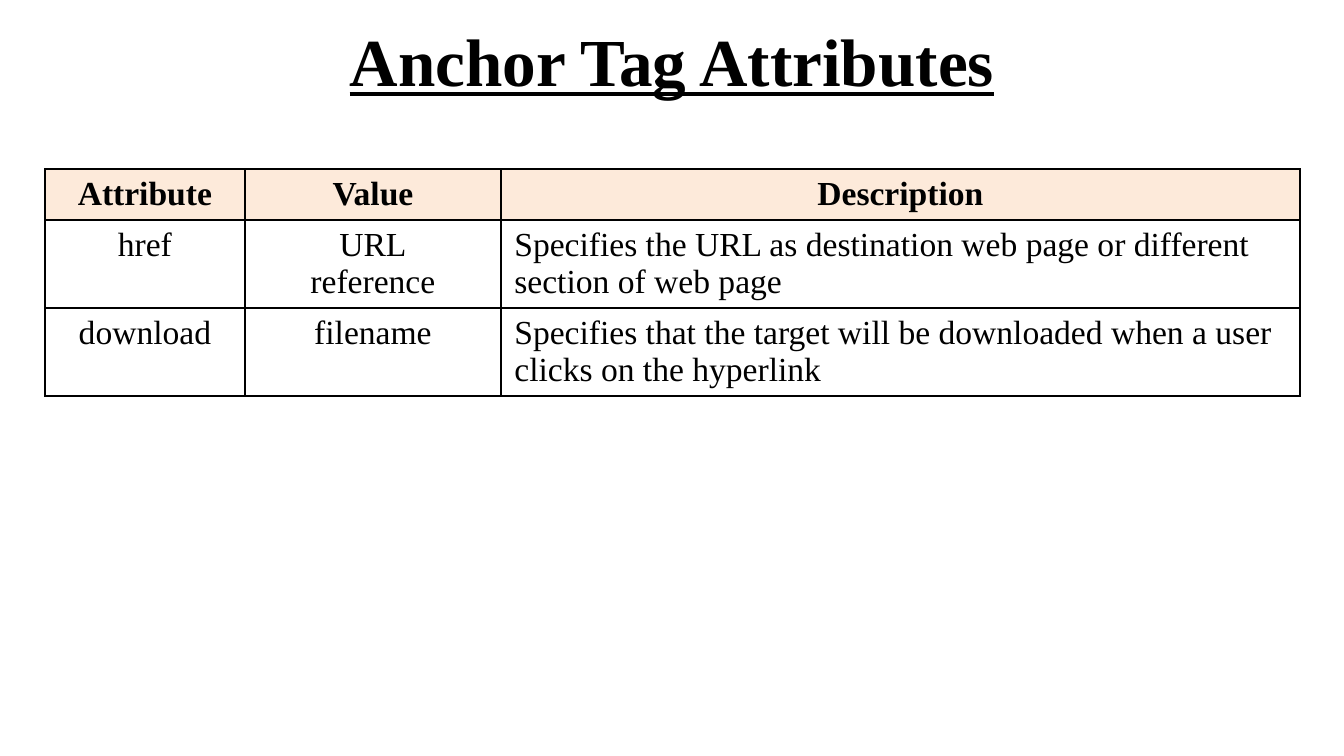
import pptx
import pptx.dml.color
import pptx.enum.text
import pptx.oxml
import pptx.oxml.ns
import pptx.util

PX = 914400 / 134.4
FONT = "Times New Roman"
BLACK, WHITE, PEACH = "000000", "FFFFFF", "FDEADA"
ALIGN = pptx.enum.text.PP_ALIGN
ANCHOR = pptx.enum.text.MSO_ANCHOR

HEADINGS = ["Attribute", "Value", "Description"]
ATTRIBUTES = [
    ["href", "URL\nreference",
     "Specifies the URL as destination web page or different section of web page"],
    ["download", "filename",
     "Specifies that the target will be downloaded when a user clicks on the hyperlink"],
]
COLUMN_WIDTHS = [200, 256, 799]
ROW_HEIGHTS = [51, 88, 88]


def px(length):
    return pptx.util.Emu(round(length * PX))


def color(hex_string):
    return pptx.dml.color.RGBColor.from_string(hex_string)


def write(frame, text, size=18, bold=False, underline=False, align=ALIGN.LEFT, ink=BLACK):
    """Fill a text frame, one paragraph for each line of text."""
    frame.text = text
    for paragraph in frame.paragraphs:
        paragraph.alignment = align
        for run in paragraph.runs:
            font = run.font
            font.name, font.size = FONT, pptx.util.Pt(size)
            font.bold, font.underline = bold, underline
            font.color.rgb = color(ink)


def add_borders(cell, ink=BLACK, points=1):
    properties = cell._tc.get_or_add_tcPr()
    namespace = pptx.oxml.ns.nsdecls("a")
    for position, side in enumerate(["lnL", "lnR", "lnT", "lnB"]):
        properties.insert(position, pptx.oxml.parse_xml(
            f'<a:{side} {namespace} w="{pptx.util.Pt(points)}"><a:solidFill>'
            f'<a:srgbClr val="{ink}"/></a:solidFill></a:{side}>'))


def place_title(slide, left, top, width, height):
    title = slide.shapes.title
    title.left, title.top, title.width, title.height = map(px, (left, top, width, height))
    title.text_frame.vertical_anchor = ANCHOR.MIDDLE
    write(title.text_frame, "Anchor Tag Attributes", size=36, bold=True,
          underline=True, align=ALIGN.CENTER)


def place_attribute_table(slide, left, top):
    rows = [HEADINGS] + ATTRIBUTES
    table = slide.shapes.add_table(
        len(rows), len(HEADINGS), px(left), px(top),
        px(sum(COLUMN_WIDTHS)), px(sum(ROW_HEIGHTS))).table
    for column, width in zip(table.columns, COLUMN_WIDTHS):
        column.width = px(width)
    for row, height in zip(table.rows, ROW_HEIGHTS):
        row.height = px(height)
    for r, texts in enumerate(rows):
        for c, text in enumerate(texts):
            cell = table.cell(r, c)
            heading = r == 0
            centered = heading or HEADINGS[c] != "Description"
            write(cell.text_frame, text, bold=heading,
                  align=ALIGN.CENTER if centered else ALIGN.LEFT)
            cell.fill.solid()
            cell.fill.fore_color.rgb = color(PEACH if heading else WHITE)
            add_borders(cell)


def main():
    presentation = pptx.Presentation()
    presentation.slide_width, presentation.slide_height = px(1344), px(756)
    title_only = presentation.slide_layouts[5]
    slide = presentation.slides.add_slide(title_only)
    place_title(slide, 67, -3, 1210, 126)
    place_attribute_table(slide, 45, 169)
    presentation.save("out.pptx")


if __name__ == "__main__":
    main()
